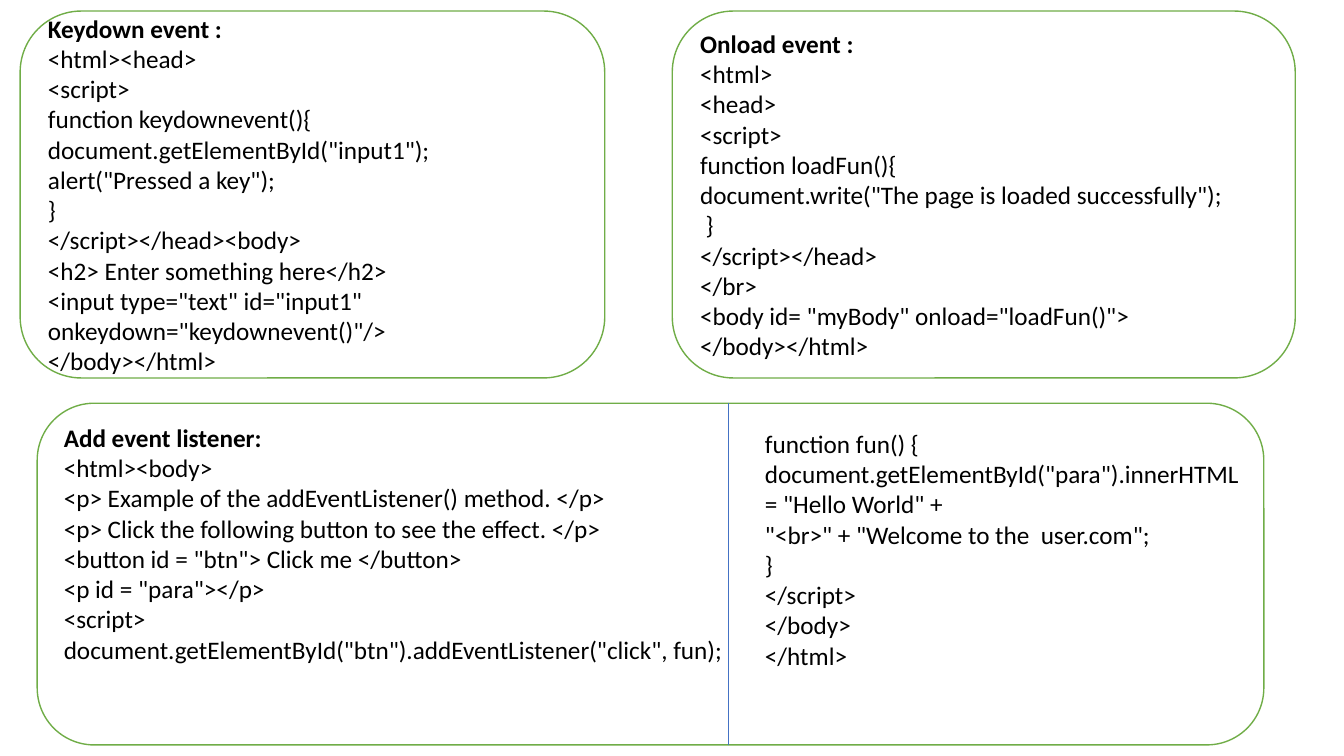
from lxml.etree import SubElement
from pptx import Presentation
from pptx.dml.color import RGBColor
from pptx.enum.shapes import MSO_CONNECTOR, MSO_SHAPE
from pptx.enum.text import MSO_ANCHOR, PP_ALIGN
from pptx.oxml.ns import qn
from pptx.util import Pt

# Content: each example is a heading and its lines of code
KEYDOWN = ("Keydown event :", [
    '<html><head>',
    '<script>',
    'function keydownevent(){',
    'document.getElementById("input1");',
    'alert("Pressed a key");',
    '}',
    '</script></head><body>',
    '<h2> Enter something here</h2>',
    '<input type="text" id="input1"',
    'onkeydown="keydownevent()"/>',
    '</body></html>',
])
ONLOAD = ("Onload event :", [
    '<html>',
    '<head>',
    '<script>',
    'function loadFun(){',
    'document.write("The page is loaded successfully");',
    ' }',
    '</script></head>',
    '</br>',
    '<body id= "myBody" onload="loadFun()">',
    '</body></html>',
])
LISTENER = ("Add event listener:", [
    '<html><body>',
    '<p> Example of the addEventListener() method. </p>',
    '<p> Click the following button to see the effect. </p>',
    '<button id = "btn"> Click me </button>',
    '<p id = "para"></p>',
    '<script>',
    'document.getElementById("btn").addEventListener("click", fun);',
])
LISTENER_REST = [
    'function fun() {',
    'document.getElementById("para").innerHTML = "Hello World" +',
    '"<br>" + "Welcome to the  user.com";',
    '}',
    '</script>',
    '</body>',
    '</html>',
]

# Layout in points
TOP_ROW, TOP_HEIGHT = 7.9, 262.1
LOW_ROW, LOW_HEIGHT = 288, 244.1
INSET = 3.6
LINE_HEIGHT = 21.97
PANELS = [  # example, left, top, width, height, space below the text
    (KEYDOWN, 14.4, TOP_ROW, 417.6, TOP_HEIGHT, INSET),
    (ONLOAD, 480.2, TOP_ROW, 445, TOP_HEIGHT, INSET),
    (LISTENER, 26.6, LOW_ROW, 876.2, LOW_HEIGHT, INSET + 2 * LINE_HEIGHT),
]
DIVIDER_X = 520.6


def color(value):
    return RGBColor.from_string(value)


def write(frame, lines, heading=None):
    frame.word_wrap = True
    texts = ([heading] if heading else []) + lines
    for index, text in enumerate(texts):
        para = frame.paragraphs[0] if index == 0 else frame.add_paragraph()
        para.alignment = PP_ALIGN.LEFT
        span = para.add_run()
        span.text = text
        span.font.name = "Calibri"
        span.font.size = Pt(18)
        span.font.bold = text == heading
        span.font.color.rgb = color("000000")


deck = Presentation()
deck.slide_width, deck.slide_height = Pt(960), Pt(540)
page = deck.slides.add_slide(deck.slide_layouts[6])

# Rounded panels
for (heading, lines), left, top, width, height, below in PANELS:
    panel = page.shapes.add_shape(
        MSO_SHAPE.ROUNDED_RECTANGLE, Pt(left), Pt(top), Pt(width), Pt(height))
    panel.shadow.inherit = False
    panel.fill.solid()
    panel.fill.fore_color.rgb = color("FFFFFF")
    panel.line.color.rgb = color("70AD47")
    panel.line.width = Pt(1)
    panel.text_frame.vertical_anchor = MSO_ANCHOR.MIDDLE
    panel.text_frame.margin_bottom = Pt(below)
    write(panel.text_frame, lines, heading)

# Divider in the lower panel
divider = page.shapes.add_connector(
    MSO_CONNECTOR.STRAIGHT, Pt(DIVIDER_X), Pt(LOW_ROW),
    Pt(DIVIDER_X), Pt(LOW_ROW + LOW_HEIGHT))
divider.line.color.rgb = color("4472C4")
divider.line.width = Pt(0.5)
SubElement(divider._element.spPr, qn("a:effectLst"))

# Rest of the listener example
box = page.shapes.add_textbox(Pt(539.3), Pt(302.4), Pt(363.6), Pt(203.8))
write(box.text_frame, LISTENER_REST)

deck.save("out.pptx")
